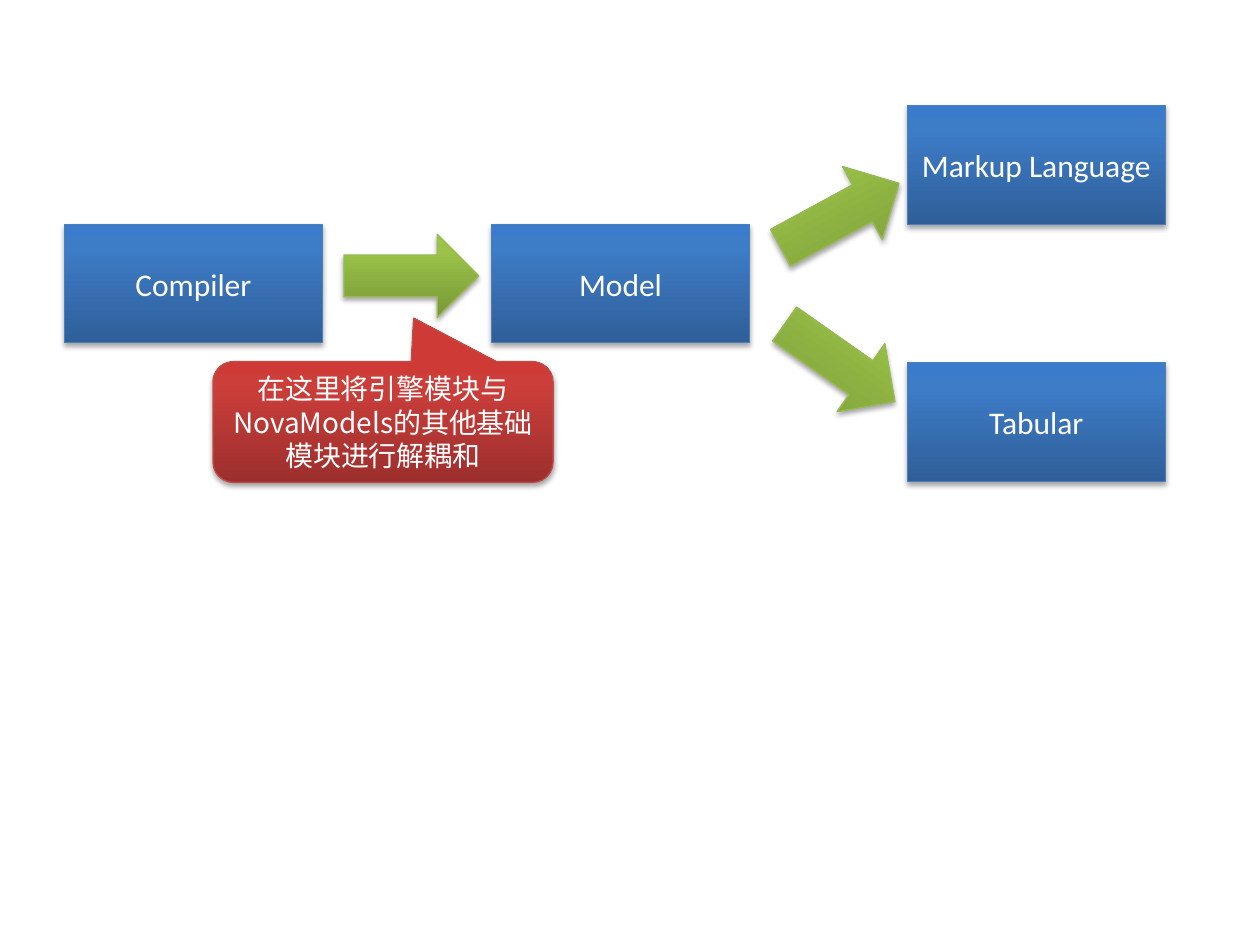
from lxml import etree
from pptx import Presentation
from pptx.dml.color import RGBColor
from pptx.enum.shapes import MSO_SHAPE
from pptx.enum.text import MSO_ANCHOR, PP_ALIGN
from pptx.oxml.ns import qn
from pptx.util import Inches, Pt

RECT = MSO_SHAPE.RECTANGLE
ARROW = MSO_SHAPE.RIGHT_ARROW
CALLOUT = MSO_SHAPE.ROUNDED_RECTANGULAR_CALLOUT
CENTER, MIDDLE = PP_ALIGN.CENTER, MSO_ANCHOR.MIDDLE

COLORS = {
    "blue": ("2F5F99", "3D7CC7", "3A7CCB"),
    "green": ("779737", "9BC348", "9DC746"),
    "red": ("9C2F2D", "CB3E3A", "CE3B37"),
    "blue_line": "4B7EBC",
    "green_line": "98B955",
    "red_line": "BF4C48",
    "text": "FFFFFF",
    "shadow": "000000",
}
COLUMNS, ROWS = 10, 7.5
STOPS = (0, 80, 100)


def add(parent, tag, **attrs):
    el = etree.SubElement(parent, qn(tag))
    for name, value in attrs.items():
        el.set(name, str(value))
    return el


def write(tf, text, font="Calibri", size=18, color="text"):
    tf.word_wrap = True
    tf.vertical_anchor = MIDDLE
    p = tf.paragraphs[0]
    p.alignment = CENTER
    r = p.add_run()
    r.text = text
    r.font.name = font
    r.font.size = Pt(size)
    r.font.color.rgb = RGBColor.from_string(COLORS[color])
    add(r.font._element, "a:ea", typeface=font)


class Diagram:
    box_size = (2.05, 0.94)
    arrow_size = (1.07, 0.66)

    def __init__(self, prs):
        self.slide = prs.slides.add_slide(prs.slide_layouts[6])
        self.col = prs.slide_width / COLUMNS
        self.row = prs.slide_height / ROWS

    def shape(self, kind, x, y, size, color):
        w, h = size
        sp = self.slide.shapes.add_shape(
            kind, int(x * self.col), int(y * self.row),
            int(w * self.col), int(h * self.row))
        self.gradient(sp, COLORS[color])
        sp.line.color.rgb = RGBColor.from_string(COLORS[color + "_line"])
        sp.line.width = Pt(0.75)
        self.shadow(sp)
        return sp

    def gradient(self, sp, shades):
        sp.fill.gradient()
        grad = sp._element.spPr.find(qn("a:gradFill"))
        for child in list(grad):
            grad.remove(child)
        stops = add(grad, "a:gsLst")
        for pos, shade in zip(STOPS, shades):
            add(add(stops, "a:gs", pos=pos * 1000), "a:srgbClr", val=shade)
        add(grad, "a:lin", ang=270 * 60000, scaled=0)

    def shadow(self, sp):
        sp.shadow.inherit = False
        effects = sp._element.spPr.find(qn("a:effectLst"))
        outer = add(effects, "a:outerShdw", blurRad=Pt(3.1), dist=Pt(1.8),
                    dir=90 * 60000, rotWithShape=0)
        color = add(outer, "a:srgbClr", val=COLORS["shadow"])
        add(color, "a:alpha", val=35000)

    def box(self, text, x, y):
        sp = self.shape(RECT, x, y, self.box_size, "blue")
        write(sp.text_frame, text)

    def arrow(self, x, y, angle=0):
        sp = self.shape(ARROW, x, y, self.arrow_size, "green")
        sp.rotation = angle

    def callout(self, text, x, y, size, adjustments):
        sp = self.shape(CALLOUT, x, y, size, "red")
        for i, value in enumerate(adjustments):
            sp.adjustments[i] = value
        write(sp.text_frame, text, font="Noto Sans CJK SC", size=16)


prs = Presentation()
prs.slide_width, prs.slide_height = Inches(10), Inches(7.5)
s = Diagram(prs)

for text, x, y in (("Compiler", 0.51, 1.78), ("Model", 3.9, 1.78),
                   ("Markup Language", 7.2, 0.84), ("Tabular", 7.2, 2.88)):
    s.box(text, x, y)

for x, y, angle in ((2.73, 1.86, 0), (6.13, 1.38, 331.5), (6.13, 2.55, 35.1)):
    s.arrow(x, y, angle)

s.callout("在这里将引擎模块与NovaModels的其他基础模块进行解耦和",
          1.69, 2.87, (2.7, 0.96), (0.09, -0.86, 0.17))

prs.save("out.pptx")
